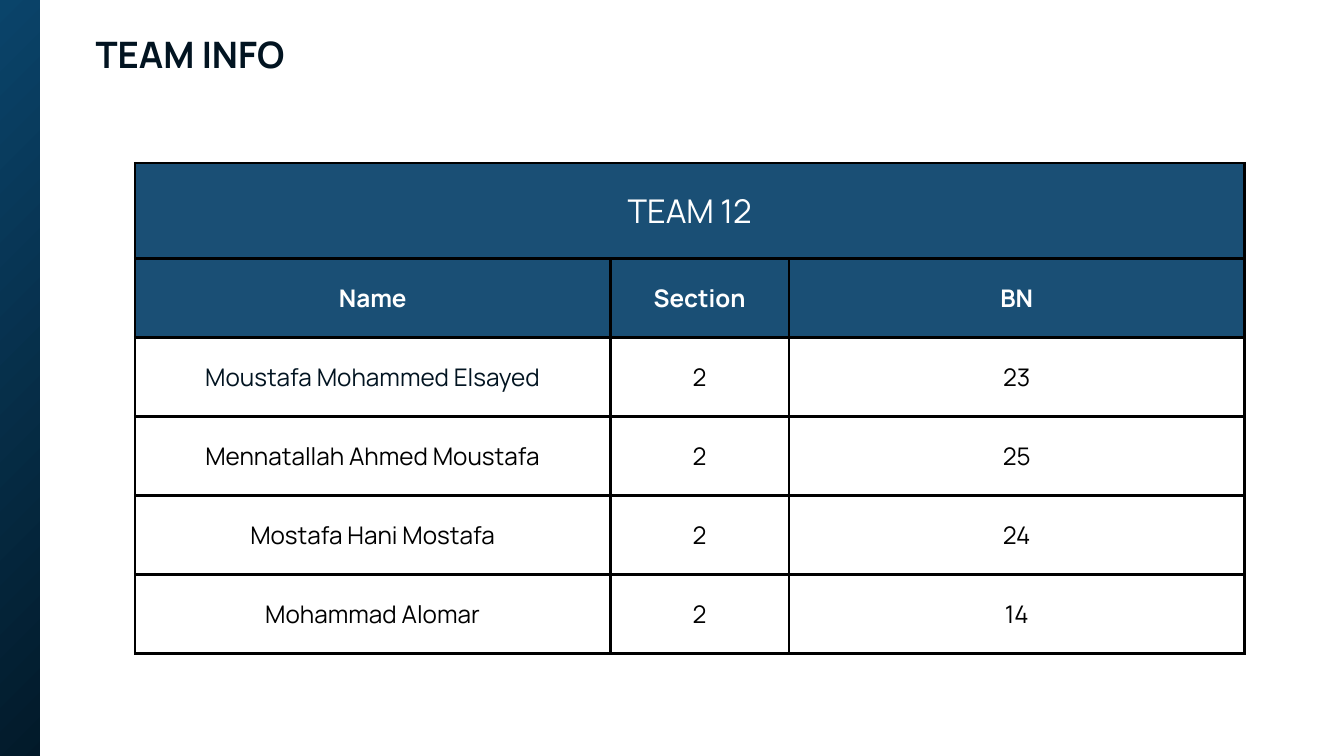
"""Build the team info slide with its member table."""
import lxml.etree
import pptx
import pptx.dml.color
import pptx.enum.shapes
import pptx.enum.text
import pptx.oxml.ns
import pptx.util

PX = 9525
FONT = "Manrope"
HUES = {
    "ink": "021421",
    "black": "000000",
    "white": "FFFFFF",
    "head": "1A4F75",
    "top": "0B4972",
    "base": "021827",
}
TEAM = [
    ("Moustafa Mohammed Elsayed", "2", "23"),
    ("Mennatallah Ahmed Moustafa", "2", "25"),
    ("Mostafa Hani Mostafa", "2", "24"),
    ("Mohammad Alomar", "2", "14"),
]


def px(num):
    return pptx.util.Emu(num * PX)


def rgb(name):
    return pptx.dml.color.RGBColor.from_string(HUES[name])


class Deck:
    def __init__(self, wide, high):
        self.show = pptx.Presentation()
        self.show.slide_width = px(wide)
        self.show.slide_height = px(high)
        self.slide = self.show.slides.add_slide(self.show.slide_layouts[5])

    def text(self, frame, words, size, lead, hue, bold=False):
        para = frame.paragraphs[0]
        para.alignment = pptx.enum.text.PP_ALIGN.CENTER
        para.line_spacing = pptx.util.Pt(lead)
        para.space_before = pptx.util.Pt(0)
        run = para.add_run()
        run.text = words
        run.font.name = FONT
        run.font.size = pptx.util.Pt(size)
        run.font.bold = bold
        run.font.color.rgb = rgb(hue)

    def title(self, words, left, top, wide, high):
        box = self.slide.shapes.title
        box.left, box.top, box.width, box.height = map(px, (left, top, wide, high))
        frame = box.text_frame
        frame.margin_left = frame.margin_right = 0
        frame.margin_top = frame.margin_bottom = 0
        frame.vertical_anchor = pptx.enum.text.MSO_ANCHOR.TOP
        frame.word_wrap = False
        frame.auto_size = pptx.enum.text.MSO_AUTO_SIZE.SHAPE_TO_FIT_TEXT
        self.text(frame, words, 39, 54.6, "ink", True)

    def band(self, left, top, wide, high):
        kind = pptx.enum.shapes.MSO_SHAPE.RECTANGLE
        bar = self.slide.shapes.add_shape(kind, *map(px, (left, top, wide, high)))
        bar.shadow.inherit = False
        bar.line.fill.background()
        bar.fill.gradient()
        bar.fill.gradient_angle = 315
        for stop, hue in zip(bar.fill.gradient_stops, ("top", "base")):
            stop.color.rgb = rgb(hue)

    def grid(self, left, top, cols, rows):
        area = map(px, (left, top, sum(cols), sum(rows)))
        table = self.slide.shapes.add_table(len(rows), len(cols), *area).table
        for col, wide in zip(table.columns, cols):
            col.width = px(wide)
        for row, high in zip(table.rows, rows):
            row.height = px(high)
        for cell in table.iter_cells():
            self.frame(cell)
        return table

    def frame(self, cell):
        cell.margin_left = cell.margin_right = px(20)
        cell.margin_top = cell.margin_bottom = px(20)
        cell.vertical_anchor = pptx.enum.text.MSO_ANCHOR.MIDDLE
        cell.fill.background()
        props = cell._tc.get_or_add_tcPr()
        qn = pptx.oxml.ns.qn
        for spot, side in enumerate(("lnL", "lnR", "lnT", "lnB")):
            line = lxml.etree.Element(qn("a:" + side), w=str(pptx.util.Pt(3)))
            fill = lxml.etree.SubElement(line, qn("a:solidFill"))
            lxml.etree.SubElement(fill, qn("a:srgbClr"), val=HUES["black"])
            props.insert(spot, line)

    def cell(self, cell, words, size, lead, hue, bold=False, fill=None):
        if fill:
            cell.fill.solid()
            cell.fill.fore_color.rgb = rgb(fill)
        self.text(cell.text_frame, words, size, lead, hue, bold)


def main():
    deck = Deck(1920, 1080)
    deck.band(-92, -49, 149, 1179)
    table = deck.grid(193, 233, [679, 255, 651], [136] + [113] * 5)
    table.cell(0, 0).merge(table.cell(0, 2))
    deck.cell(table.cell(0, 0), "TEAM 12", 35, 49, "white", fill="head")
    for col, words in enumerate(("Name", "Section", "BN")):
        deck.cell(table.cell(1, col), words, 26, 36.4, "white", True, "head")
    for row, mate in enumerate(TEAM, 2):
        for col, words in enumerate(mate):
            hue = "ink" if (row, col) == (2, 0) else "black"
            deck.cell(table.cell(row, col), words, 26, 36.4, hue)
    deck.title("TEAM INFO", 132, 35, 279, 74)
    deck.show.save("out.pptx")


if __name__ == "__main__":
    main()
